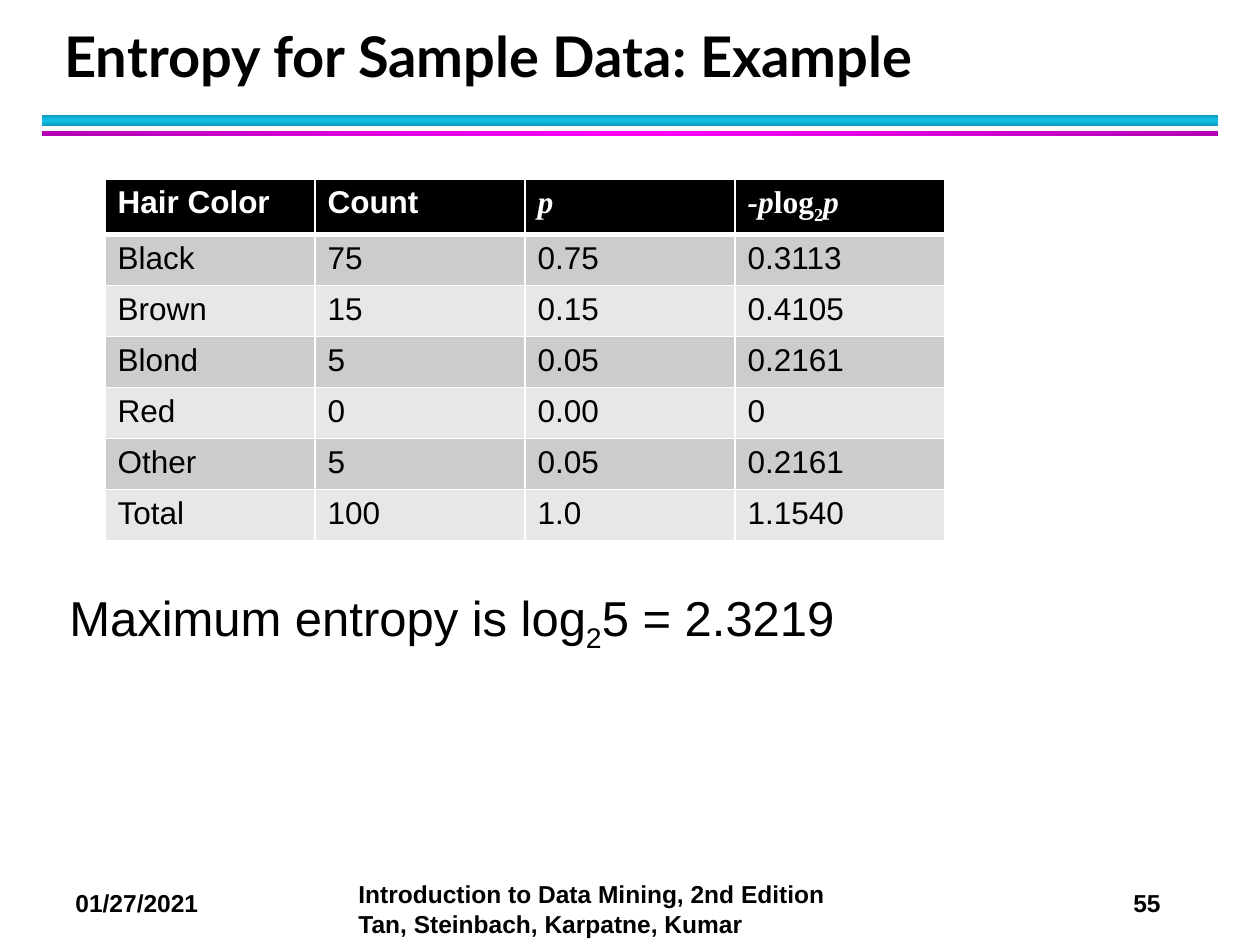
import copy

import lxml.etree
import pptx
import pptx.dml.color
import pptx.enum.shapes
import pptx.enum.text
import pptx.oxml.ns
import pptx.util

BLACK = pptx.dml.color.RGBColor(0x00, 0x00, 0x00)
WHITE = pptx.dml.color.RGBColor(0xFF, 0xFF, 0xFF)
DARK_BAND = pptx.dml.color.RGBColor(0xCC, 0xCC, 0xCC)
LIGHT_BAND = pptx.dml.color.RGBColor(0xE7, 0xE7, 0xE7)
TEAL = pptx.dml.color.RGBColor(0x0E, 0x9B, 0xBA)
CYAN = pptx.dml.color.RGBColor(0x12, 0xC2, 0xE9)
PURPLE = pptx.dml.color.RGBColor(0xB2, 0x00, 0xB2)
MAGENTA = pptx.dml.color.RGBColor(0xFF, 0x00, 0xFF)


def px(*lengths):
    return [pptx.util.Emu(round(length * 914400 / 126)) for length in lengths]


def write(frame, runs, size, color=BLACK, name="Arial", bold=False):
    para = frame.paragraphs[0]
    para.font.size = pptx.util.Pt(size)
    para.font.name = name
    para.font.bold = bold
    para.font.color.rgb = color
    for text, style in runs:
        span = para.add_run()
        span.text = text
        if style == "italic":
            span.font.italic = True
        if style == "sub":
            span._r.get_or_add_rPr().set("baseline", "-25000")
    return para


deck = pptx.Presentation()
deck.slide_width, deck.slide_height = px(1260, 945)
page = deck.slides.add_slide(deck.slide_layouts[6])

for top, height, edge, middle, angle in [
    (115, 11, TEAL, CYAN, 270),
    (131, 5, PURPLE, MAGENTA, 0),
]:
    bar = page.shapes.add_shape(
        pptx.enum.shapes.MSO_SHAPE.RECTANGLE, *px(42, top, 1176, height)
    )
    bar.shadow.inherit = False
    bar.line.fill.background()
    bar.fill.gradient()
    bar.fill.gradient_angle = angle
    stop_list = next(bar._element.iter(pptx.oxml.ns.qn("a:gsLst")))
    stop_list.insert(1, copy.deepcopy(stop_list[0]))
    for stop, position, color in zip(
        bar.fill.gradient_stops, (0, 0.5, 1), (edge, middle, edge)
    ):
        stop.position = position
        stop.color.rgb = color

for place, runs, size, name, bold in [
    ((52, 22, 1142, 73), [("Entropy for Sample Data: Example", "")], 32, "Lato", True),
    (
        (57, 581, 1147, 70),
        [("Maximum entropy is log", ""), ("2", "sub"), ("5 = 2.3219", "")],
        28, "Arial", False,
    ),
    ((63, 882, 168, 42), [("01/27/2021", "")], 14, "Arial", True),
    ((1121, 882, 139, 42), [("55", "")], 14, "Arial", True),
    (
        (346, 873, 514, 71),
        [("Introduction to Data Mining, 2nd Edition Tan, Steinbach, Karpatne, Kumar", "")],
        14, "Arial", True,
    ),
]:
    box = page.shapes.add_textbox(*px(*place))
    box.text_frame.word_wrap = True
    para = write(box.text_frame, runs, size, name=name, bold=bold)
    if name == "Lato":
        box.text_frame.vertical_anchor = pptx.enum.text.MSO_ANCHOR.BOTTOM
        para.line_spacing = pptx.util.Pt(36)

header = [
    ([("Hair Color", "")], "Arial"),
    ([("Count", "")], "Arial"),
    ([("p", "italic")], "Times New Roman"),
    (
        [("-p", "italic"), ("log", ""), ("2", "sub"), ("p", "italic")],
        "Times New Roman",
    ),
]
hair_rows = [
    ("Black", "75", "0.75", "0.3113"),
    ("Brown", "15", "0.15", "0.4105"),
    ("Blond", "5", "0.05", "0.2161"),
    ("Red", "0", "0.00", "0"),
    ("Other", "5", "0.05", "0.2161"),
    ("Total", "100", "1.0", "1.1540"),
]
table = page.shapes.add_table(
    len(hair_rows) + 1, len(header), *px(105, 179, 840, 361)
).table
for column in table.columns:
    column.width = px(210)[0]
for index, row in enumerate(table.rows):
    row.height = px(51 if index else 55)[0]

for column, (runs, name) in enumerate(header):
    cell = table.cell(0, column)
    cell.fill.solid()
    cell.fill.fore_color.rgb = BLACK
    write(cell.text_frame, runs, 18, WHITE, name, True)
    border = lxml.etree.Element(pptx.oxml.ns.qn("a:lnB"), w=str(pptx.util.Pt(3)))
    paint = lxml.etree.SubElement(border, pptx.oxml.ns.qn("a:solidFill"))
    lxml.etree.SubElement(paint, pptx.oxml.ns.qn("a:srgbClr"), val=str(WHITE))
    cell._tc.get_or_add_tcPr().insert(0, border)

for index, values in enumerate(hair_rows, start=1):
    for column, value in enumerate(values):
        cell = table.cell(index, column)
        cell.fill.solid()
        cell.fill.fore_color.rgb = DARK_BAND if index % 2 else LIGHT_BAND
        write(cell.text_frame, [(value, "")], 18)

deck.save("out.pptx")
